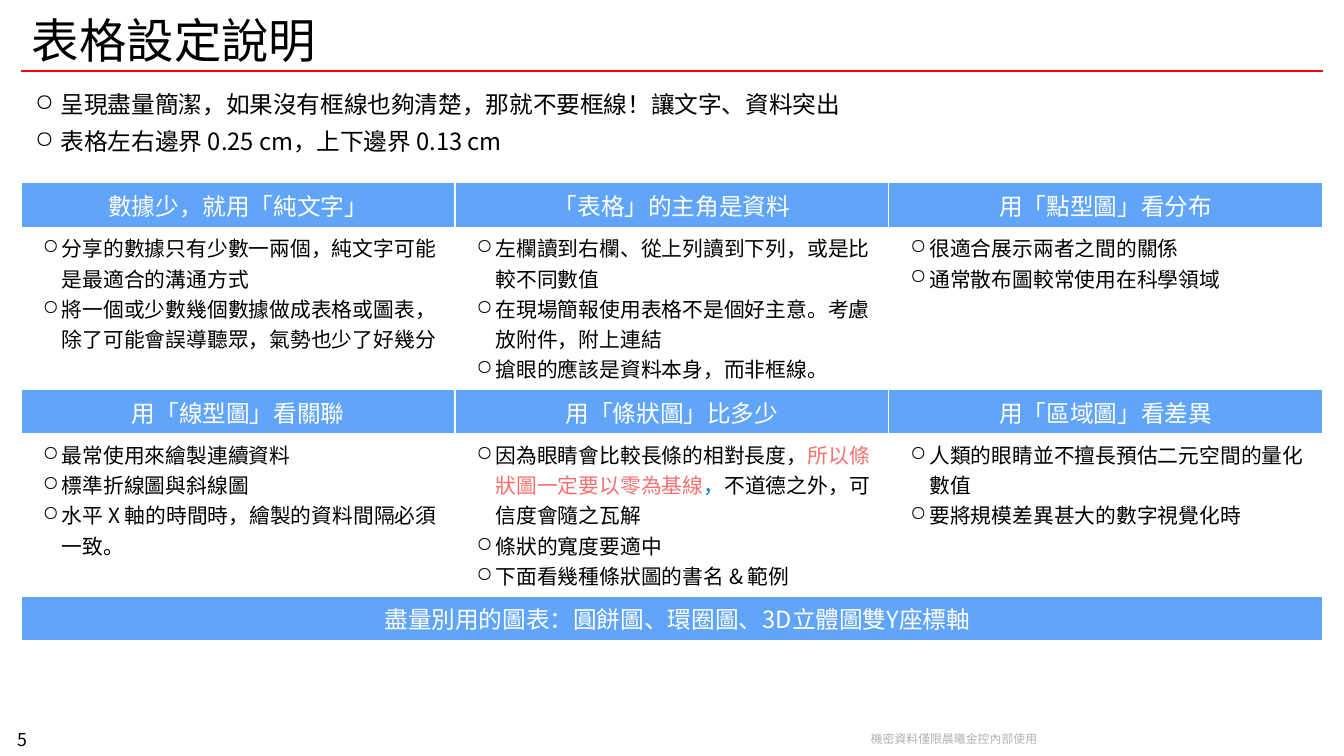
from dataclasses import dataclass

from lxml import etree
from pptx import Presentation
from pptx.dml.color import RGBColor
from pptx.enum.shapes import MSO_CONNECTOR
from pptx.enum.text import MSO_ANCHOR, PP_ALIGN
from pptx.oxml.ns import qn
from pptx.util import Inches, Pt

LEFT, CENTER = PP_ALIGN.LEFT, PP_ALIGN.CENTER
TOP, MIDDLE, BOTTOM = MSO_ANCHOR.TOP, MSO_ANCHOR.MIDDLE, MSO_ANCHOR.BOTTOM
STRAIGHT = MSO_CONNECTOR.STRAIGHT

# Grid: 126 columns across, each unit a tenth of an inch
UNIT = Inches(0.1)
SLIDE_COLUMNS, SLIDE_ROWS = 126, 70.9
MARGIN = 2
CONTENT = SLIDE_COLUMNS - 2 * MARGIN
TABLE_TOP, HEADING_ROWS, DETAIL_ROWS = 17.15, 4.18, 15.2

BLACK, WHITE, RED, BLUE, GRAY = "000000", "FFFFFF", "FF0000", "60A5FA", "B2B2B2"
CORAL, COMMA_BLUE = "F87171", "007AC5"
FONT, FOOTER_FONT = "Noto Sans CJK TC", "Noto Sans CJK SC"


@dataclass(frozen=True)
class Style:
    size: float
    color: str = BLACK
    font: str = FONT
    align: PP_ALIGN = LEFT
    margin: float = 0
    hanging: float = 0
    before: float = 0
    spacing: float | None = None


@dataclass(frozen=True)
class Span:
    text: str
    color: str | None = None


@dataclass(frozen=True)
class TextArea:
    left: float
    top: float
    width: float
    height: float
    style: Style
    lines: list
    anchor: MSO_ANCHOR = TOP
    wrap: bool = True
    inset: float = 1


@dataclass(frozen=True)
class Topic:
    heading: str
    points: list


HEADING = Style(16, WHITE, align=CENTER)
CLOSING = Style(16, WHITE, align=CENTER, margin=1)
POINT = Style(14, margin=2.8, hanging=1.8)

AREAS = [
    TextArea(0, 68.2, 4.2, 2.6, Style(12, align=CENTER, spacing=0.83),
             ["5"], BOTTOM, False),
    TextArea(80.5, 68.1, 17.9, 2.3,
             Style(8, GRAY, FOOTER_FONT, CENTER, spacing=Pt(9.6)),
             ["機密資料僅限晨曦金控內部使用"], MIDDLE, False),
    TextArea(MARGIN, 0.8, CONTENT, 5.9, Style(32), ["表格設定說明"], MIDDLE),
    TextArea(MARGIN, 7.9, CONTENT, 8.1, Style(16, margin=2.8, hanging=2.4, before=6),
             ["呈現盡量簡潔，如果沒有框線也夠清楚，那就不要框線！讓文字、資料突出",
              "表格左右邊界 0.25 cm，上下邊界 0.13 cm"], inset=0.9),
]

TOPICS = [
    [
        Topic("數據少，就用「純文字」",
              ["分享的數據只有少數一兩個，純文字可能是最適合的溝通方式",
               "將一個或少數幾個數據做成表格或圖表，除了可能會誤導聽眾，氣勢也少了好幾分"]),
        Topic("「表格」的主角是資料",
              ["左欄讀到右欄、從上列讀到下列，或是比較不同數值",
               "在現場簡報使用表格不是個好主意。考慮放附件，附上連結",
               "搶眼的應該是資料本身，而非框線。"]),
        Topic("用「點型圖」看分布",
              ["很適合展示兩者之間的關係", "通常散布圖較常使用在科學領域"]),
    ],
    [
        Topic("用「線型圖」看關聯",
              ["最常使用來繪製連續資料", "標準折線圖與斜線圖",
               "水平 X 軸的時間時，繪製的資料間隔必須一致。"]),
        Topic("用「條狀圖」比多少",
              [[Span("因為眼睛會比較長條的相對長度，"),
                Span("所以條狀圖一定要以零為基線", CORAL),
                Span("，", COMMA_BLUE),
                Span("不道德之外，可信度會隨之瓦解")],
               "條狀的寬度要適中", "下面看幾種條狀圖的書名 & 範例"]),
        Topic("用「區域圖」看差異",
              ["人類的眼睛並不擅長預估二元空間的量化數值",
               "要將規模差異甚大的數字視覺化時"]),
    ],
]
CLOSING_TEXT = "盡量別用的圖表：圓餅圖、環圈圖、3D立體圖雙Y座標軸"


def grid(units: float) -> int:
    return round(units * UNIT)


def rgb(color: str) -> RGBColor:
    return RGBColor.from_string(color)


def add_color(parent, tag: str, color: str) -> None:
    holder = etree.SubElement(parent, qn(tag))
    etree.SubElement(holder, qn("a:srgbClr"), val=color)


def style_paragraph(para, style: Style) -> None:
    properties = para._p.get_or_add_pPr()
    properties.set("marL", str(grid(style.margin)))
    properties.set("indent", str(grid(-style.hanging)))
    if style.hanging:
        add_color(properties, "a:buClr", BLACK)
        etree.SubElement(properties, qn("a:buChar"), char="○")
    para.alignment = style.align
    para.space_before = Pt(style.before)
    if style.spacing:
        para.line_spacing = style.spacing
    para.font.size = Pt(style.size)
    para.font.name = style.font
    para.font.color.rgb = rgb(style.color)
    defaults = properties.find(qn("a:defRPr"))
    etree.SubElement(defaults, qn("a:ea"), typeface=style.font)


def write(frame, lines: list, style: Style) -> None:
    for index, line in enumerate(lines):
        para = frame.add_paragraph() if index else frame.paragraphs[0]
        style_paragraph(para, style)
        for span in [Span(line)] if isinstance(line, str) else line:
            run = para.add_run()
            run.text = span.text
            if span.color:
                run.font.color.rgb = rgb(span.color)


def draw_text(page, area: TextArea) -> None:
    box = page.shapes.add_textbox(
        *map(grid, (area.left, area.top, area.width, area.height)))
    frame = box.text_frame
    frame.word_wrap = area.wrap
    frame.vertical_anchor = area.anchor
    frame.margin_left = grid(area.inset)
    write(frame, area.lines, area.style)


def draw_rule(page) -> None:
    ends = (MARGIN, 6.7, MARGIN + CONTENT, 6.7)
    rule = page.shapes.add_connector(STRAIGHT, *map(grid, ends))
    rule.line.color.rgb = rgb(RED)
    rule.line.width = Pt(1.25)
    etree.SubElement(rule._element.spPr, qn("a:effectLst"))


def fill_cell(cell, lines: list, style: Style, fill: str,
              sides: list, border: float) -> None:
    properties = cell._tc.get_or_add_tcPr()
    for side in sides:
        line = etree.SubElement(properties, qn(side), w=str(Pt(border)))
        add_color(line, "a:solidFill", WHITE)
    cell.fill.solid()
    cell.fill.fore_color.rgb = rgb(fill)
    write(cell.text_frame, lines, style)


def draw_table(page) -> None:
    heights = [HEADING_ROWS, DETAIL_ROWS] * len(TOPICS) + [HEADING_ROWS]
    column_count = len(TOPICS[0])
    table = page.shapes.add_table(
        len(heights), column_count,
        *map(grid, (MARGIN, TABLE_TOP, CONTENT, sum(heights)))).table
    table.first_row = table.horz_banding = False
    for row, height in zip(table.rows, heights):
        row.height = grid(height)

    # Each topic is a heading cell above its points
    for band, topics in enumerate(TOPICS):
        for column, topic in enumerate(topics):
            sides = ["a:lnL"] * (column > 0) + ["a:lnR"] * (column < column_count - 1)
            fill_cell(table.cell(2 * band, column), [topic.heading],
                      HEADING, BLUE, sides, 1)
            fill_cell(table.cell(2 * band + 1, column), topic.points,
                      POINT, WHITE, sides, 6)

    # Closing row across all columns
    last = len(heights) - 1
    closing = table.cell(last, 0)
    closing.merge(table.cell(last, column_count - 1))
    fill_cell(closing, [CLOSING_TEXT], CLOSING, BLUE, [], 1)


def main() -> None:
    deck = Presentation()
    deck.slide_width, deck.slide_height = grid(SLIDE_COLUMNS), grid(SLIDE_ROWS)
    page = deck.slides.add_slide(deck.slide_layouts[6])
    draw_rule(page)
    for area in AREAS:
        draw_text(page, area)
    draw_table(page)
    deck.save("out.pptx")


if __name__ == "__main__":
    main()
